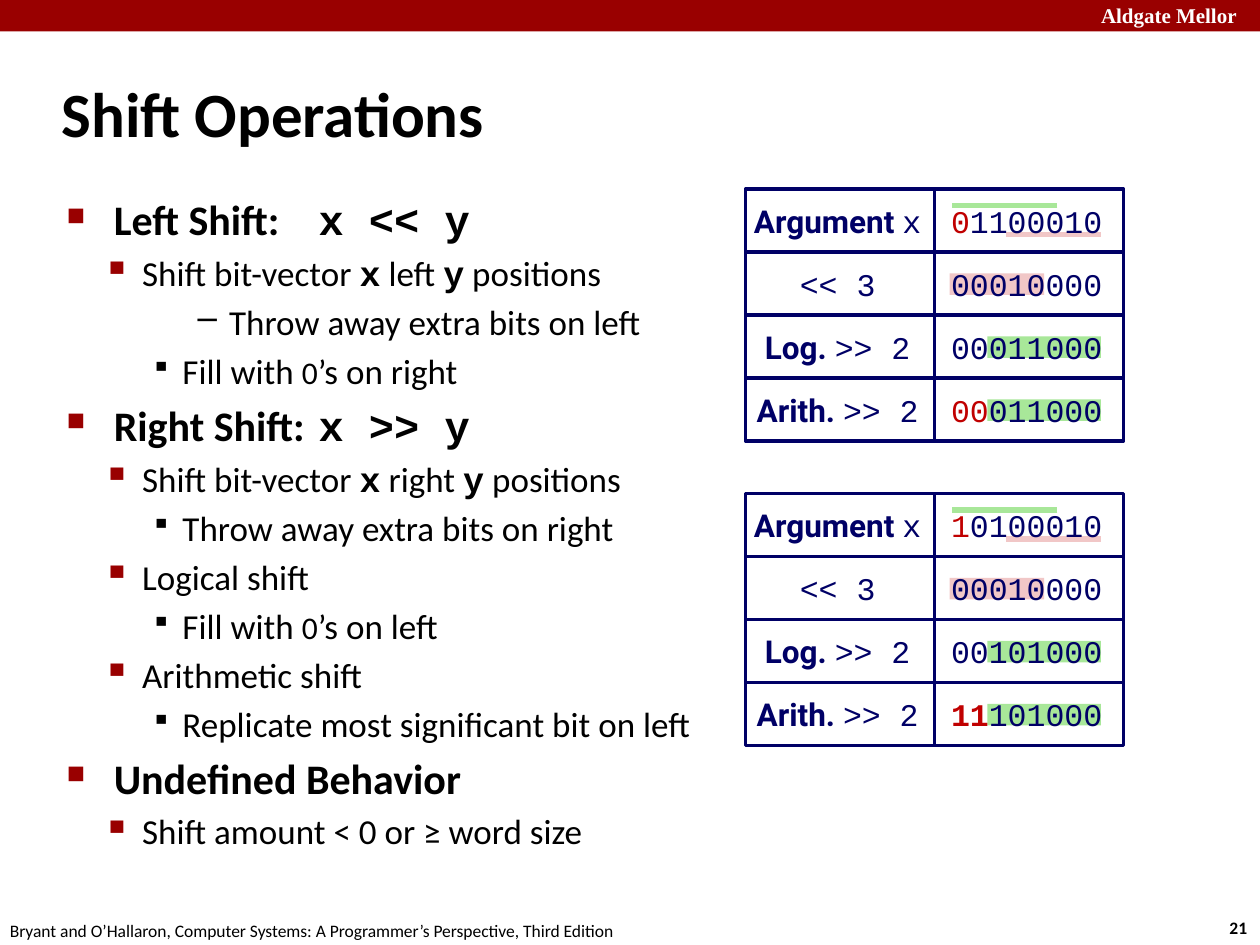
from lxml import etree
from pptx import Presentation
from pptx import util as u
from pptx.dml.color import RGBColor
from pptx.enum import shapes, text
from pptx.oxml import ns

COLUMNS, ROWS = 40, 30
UNIT = u.Inches(10) // COLUMNS

BLACK = RGBColor(0, 0, 0)
WHITE = RGBColor(255, 255, 255)
CRIMSON = RGBColor(0x99, 0, 0)
RED = RGBColor(0xC0, 0, 0)
NAVY = RGBColor(0, 0, 0x66)
GREEN = RGBColor(0xA8, 0xE7, 0x99)
PINK = RGBColor(0xF1, 0xC7, 0xC7)
BODY, CODE, LABEL, SERIF = "Calibri", "Courier New", "Roboto", "Times New Roman"

BULLETS = [
    (1.5, -1.5, "■", 60, CRIMSON),
    (2.4, -1.25, "▪", 110, CRIMSON),
    (3.68, -1, "▪", 80, None),
    (5.16, -1, "–", None, None),
]
OUTLINE = [
    (0, [("Left Shift: \t", BODY, 24), ("x << y", CODE, 24)]),
    (1, [("Shift bit-vector ", BODY, 20), ("x", CODE, 20), (" left ", BODY, 20),
         ("y", CODE, 20), (" positions", BODY, 20)]),
    (3, [("Throw away extra bits on left", BODY, 20)]),
    (2, [("Fill with ", BODY, 20), ("0", BODY, 18), ("’s on right", BODY, 20)]),
    (0, [("Right Shift: \t", BODY, 24), ("x >> y", CODE, 24)]),
    (1, [("Shift bit-vector ", BODY, 20), ("x", CODE, 20), (" right ", BODY, 20),
         ("y", CODE, 20), (" positions", BODY, 20)]),
    (2, [("Throw away extra bits on right", BODY, 20)]),
    (1, [("Logical shift", BODY, 20)]),
    (2, [("Fill with ", BODY, 20), ("0", BODY, 18), ("’s on left", BODY, 20)]),
    (1, [("Arithmetic shift", BODY, 20)]),
    (2, [("Replicate most significant bit on left", BODY, 20)]),
    (0, [("Undefined Behavior", BODY, 24)]),
    (1, [("Shift amount < 0 or ≥ word size", BODY, 20)]),
]
OPERATIONS = [("Argument ", "x"), ("", "<< 3"), ("Log. ", ">> 2"), ("Arith. ", ">> 2")]
HIGHLIGHTS = [(1, 0, 5, PINK), (2, 2, 8, GREEN), (3, 2, 8, GREEN)]
UNDERLINES = [(0.72, 3, 8, PINK), (0.26, 0.1, 5.7, GREEN)]


def grid(*lengths):
    """Convert grid units to slide lengths."""
    return [round(length * UNIT) for length in lengths]


def add_run(paragraph, words, font, size, bold=False, color=BLACK):
    """Append one styled run."""
    run = paragraph.add_run()
    run.text = words
    run.font.name, run.font.size, run.font.bold = font, u.Pt(size), bold
    run.font.color.rgb = color


def add_text_frame(slide, box, wrap=True):
    """Add a text box and return its frame."""
    frame = slide.shapes.add_textbox(*grid(*box)).text_frame
    frame.word_wrap = wrap
    return frame


def add_rectangle(slide, box, fill=None, line=None):
    """Add a flat rectangle with an optional fill and outline."""
    rectangle = slide.shapes.add_shape(shapes.MSO_SHAPE.RECTANGLE, *grid(*box))
    rectangle.shadow.inherit = False
    if fill is None:
        rectangle.fill.background()
    else:
        rectangle.fill.solid()
        rectangle.fill.fore_color.rgb = fill
    if line is None:
        rectangle.line.fill.background()
    else:
        rectangle.line.color.rgb = line
        rectangle.line.width = u.Pt(2)
    return rectangle


def set_bullet(paragraph, level):
    """Give a paragraph the indent and bullet of its level."""
    margin, indent, mark, size, color = BULLETS[level]
    paragraph.level = level
    properties = paragraph._p.get_or_add_pPr()
    properties.set("marL", str(round(margin * UNIT)))
    properties.set("indent", str(round(indent * UNIT)))
    if color is not None:
        holder = etree.SubElement(properties, ns.qn("a:buClr"))
        etree.SubElement(holder, ns.qn("a:srgbClr"), val=str(color))
    if size is not None:
        etree.SubElement(properties, ns.qn("a:buSzPct"), val=str(size * 1000))
    etree.SubElement(properties, ns.qn("a:buChar"), char=mark)


def add_banner(slide, box):
    """Draw the top band with the school name at its right end."""
    left, top, width, height = box
    add_rectangle(slide, box, CRIMSON)
    frame = add_text_frame(slide, (left + width - 5.44, top - 0.12, 5.72, 1.2))
    add_run(frame.paragraphs[0], "Aldgate Mellor", SERIF, 12, True, WHITE)


def add_title(slide, box):
    """Place the slide title."""
    frame = add_text_frame(slide, box)
    frame.vertical_anchor = text.MSO_ANCHOR.MIDDLE
    add_run(frame.paragraphs[0], "Shift Operations", BODY, 36, True)


def add_outline(slide, box):
    """Place the bulleted outline."""
    frame = add_text_frame(slide, box)
    for index, (level, runs) in enumerate(OUTLINE):
        paragraph = frame.add_paragraph() if index else frame.paragraphs[0]
        set_bullet(paragraph, level)
        paragraph.space_before = u.Pt(runs[0][2] * 0.2)
        for words, font, size in runs:
            add_run(paragraph, words, font, size, level == 0 or font == CODE)


def add_cell(slide, box, runs):
    """Draw one outlined cell with centred runs."""
    cell = add_rectangle(slide, box, line=NAVY)
    frame = cell.text_frame
    frame.word_wrap = False
    frame.vertical_anchor = text.MSO_ANCHOR.MIDDLE
    frame.margin_left, frame.margin_top, frame.margin_right, frame.margin_bottom = grid(
        0.24, 0.24, 0.4, 0.24)
    paragraph = frame.paragraphs[0]
    paragraph.alignment = text.PP_ALIGN.CENTER
    for words, font, bold, color in runs:
        if words:
            add_run(paragraph, words, font, 18, bold, color)


def add_shift_table(slide, box, results, bold_sign):
    """Draw the grid of shift results over its bit highlights."""
    left, top, width, height = box
    column, row = width / 2, height / len(results)
    digit = column / 10
    bits_left = left + column + 0.8 * digit
    for index, start, end, color in HIGHLIGHTS:
        add_rectangle(slide, (bits_left + start * digit, top + (index + 0.34) * row,
                              (end - start) * digit, 0.34 * row), color)
    for share, start, end, color in UNDERLINES:
        y = top + share * row
        bar = slide.shapes.add_connector(
            shapes.MSO_CONNECTOR.STRAIGHT,
            *grid(bits_left + end * digit, y, bits_left + start * digit, y))
        bar.line.color.rgb, bar.line.width = color, u.Pt(3)
        etree.SubElement(bar._element.spPr, ns.qn("a:effectLst"))
    for index, ((label, code), (sign, bits)) in enumerate(zip(OPERATIONS, results)):
        y = top + index * row
        add_cell(slide, (left, y, column, row),
                 [(label, LABEL, True, NAVY), (code, CODE, False, NAVY)])
        add_cell(slide, (left + column, y, column, row),
                 [(sign, CODE, bold_sign and index == 3, RED), (bits, CODE, False, NAVY)])


def add_footer(slide, box):
    """Place the book reference and the page number."""
    left, top, width, height = box
    source = add_text_frame(slide, (left - 0.08, top, 20.32, height), False)
    add_run(source.paragraphs[0], "Bryant and O’Hallaron, Computer Systems: "
            "A Programmer’s Perspective, Third Edition", BODY, 10)
    page = add_text_frame(slide, (left + width - 1.36, top - 0.08, 1.48, height), False)
    add_run(page.paragraphs[0], "21", BODY, 10, True)


def main():
    """Build the slide and save it."""
    deck = Presentation()
    deck.slide_width, deck.slide_height = grid(COLUMNS, ROWS)
    slide = deck.slides.add_slide(deck.slide_layouts[6])
    add_banner(slide, (0, 0, COLUMNS, 1))
    add_footer(slide, (0, 29, COLUMNS, 1.08))
    add_title(slide, (1.56, 1.92, 33.2, 3.32))
    add_outline(slide, (1.72, 5.96, 34.56, 21.76))
    add_shift_table(slide, (23.67, 6, 12, 8), [
        ("0", "1100010"), ("", "00010000"), ("", "00011000"), ("00", "011000")], False)
    add_shift_table(slide, (23.67, 15.67, 12, 8), [
        ("1", "0100010"), ("", "00010000"), ("", "00101000"), ("11", "101000")], True)
    deck.save("out.pptx")


if __name__ == "__main__":
    main()
